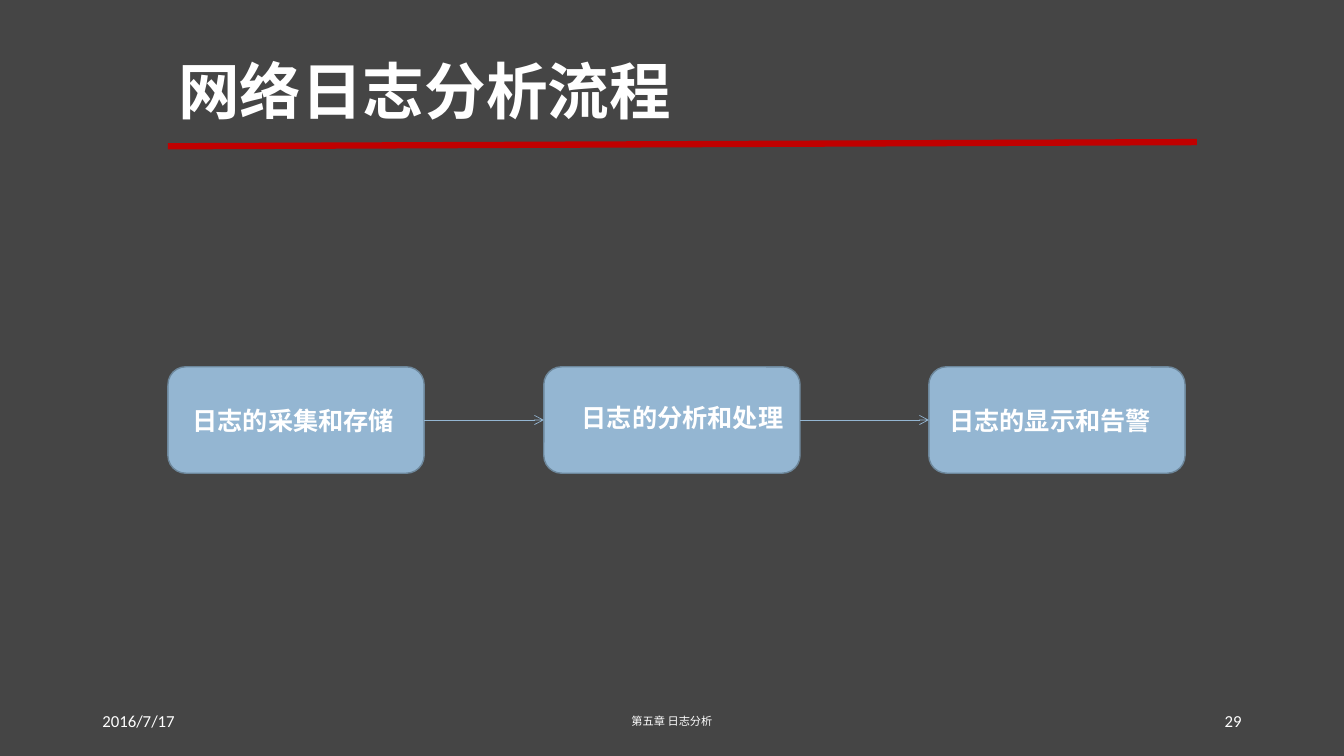
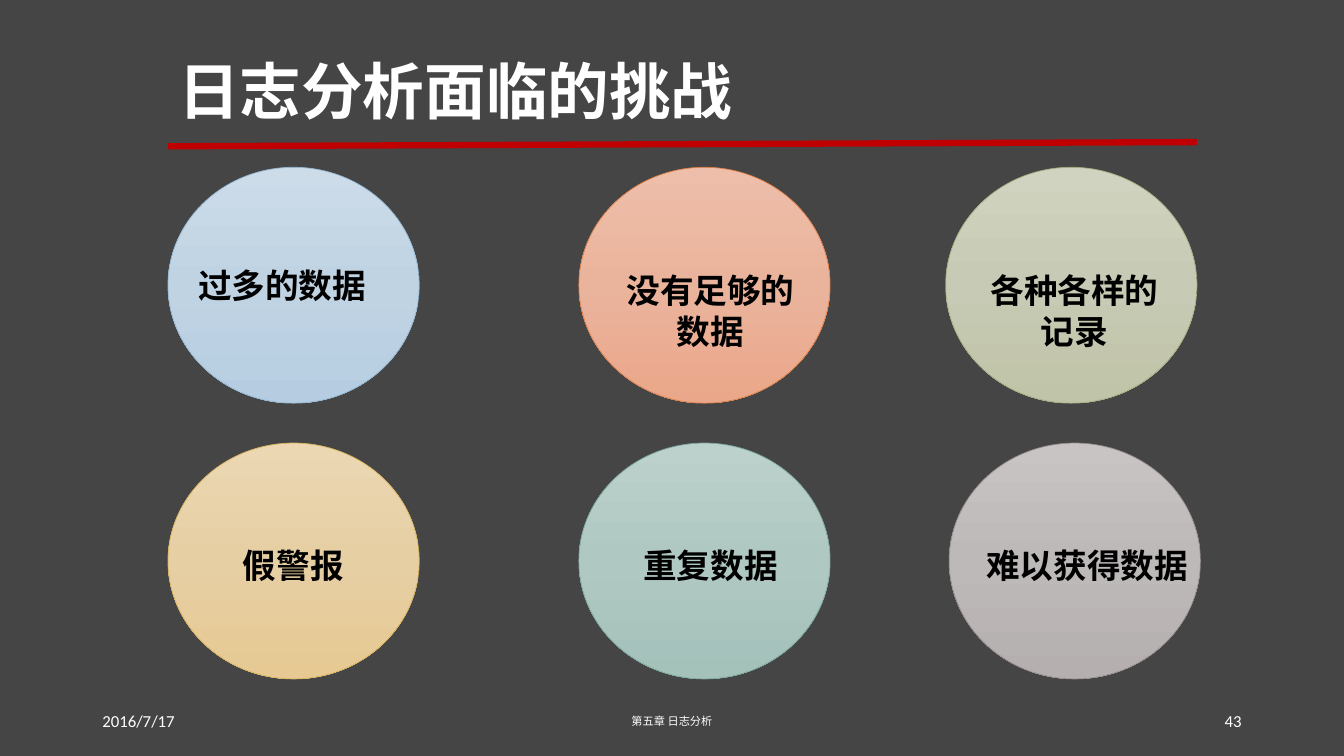
from copy import deepcopy
from dataclasses import dataclass
from itertools import pairwise

from lxml.etree import SubElement
from pptx import Presentation
from pptx.dml.color import RGBColor
from pptx.enum.shapes import MSO_CONNECTOR, MSO_SHAPE
from pptx.enum.text import MSO_ANCHOR, MSO_AUTO_SIZE, PP_ALIGN
from pptx.oxml.ns import qn
from pptx.presentation import Presentation as Deck
from pptx.shapes.autoshape import Shape
from pptx.shapes.connector import Connector
from pptx.slide import Slide
from pptx.text.text import TextFrame
from pptx.util import Pt

COLORS = {
    "background": "454545",
    "rule": "C00000",
    "light": "FFFFFF",
    "dark": "000000",
    "step": "94B6D2",
    "step_edge": "6D879B",
}
LATIN_FONT = "Calibri"
CHINESE_FONT = "Noto Sans CJK SC"
LEFT = 120


@dataclass(frozen=True)
class Area:
    left: float
    top: float
    width: float
    height: float

    def lengths(self) -> tuple[Pt, Pt, Pt, Pt]:
        return Pt(self.left), Pt(self.top), Pt(self.width), Pt(self.height)


@dataclass(frozen=True)
class TextStyle:
    size: float
    color: str = COLORS["light"]
    bold: bool = False
    font: str = LATIN_FONT
    align: PP_ALIGN = PP_ALIGN.LEFT
    anchor: MSO_ANCHOR = MSO_ANCHOR.TOP


@dataclass(frozen=True)
class Step:
    text: str
    left: float
    label: Area


@dataclass(frozen=True)
class Challenge:
    text: str
    left: float
    top: float
    label: Area
    gradient: tuple[str, str, str]
    edge: str
    align: PP_ALIGN = PP_ALIGN.CENTER


TITLE_AREA = Area(LEFT, 15, 735, 104.5)
TITLE_STYLE = TextStyle(44, bold=True, font=CHINESE_FONT, anchor=MSO_ANCHOR.MIDDLE)
DATE_STYLE = TextStyle(12, anchor=MSO_ANCHOR.MIDDLE)
CHAPTER_STYLE = TextStyle(8, font=CHINESE_FONT, align=PP_ALIGN.CENTER, anchor=MSO_ANCHOR.MIDDLE)
NUMBER_STYLE = TextStyle(12, align=PP_ALIGN.RIGHT, anchor=MSO_ANCHOR.MIDDLE)
STEP_STYLE = TextStyle(18, bold=True)

STEP_TOP, STEP_WIDTH, STEP_HEIGHT = 262, 183, 76
STEPS = (
    Step("日志的采集和存储", LEFT, Area(130.5, 286, 163, 29)),
    Step("日志的分析和处理", 388.5, Area(408.5, 284, 163, 50)),
    Step("日志的显示和告警", 663.5, Area(671, 286, 168, 29)),
)

CIRCLE_WIDTH, CIRCLE_HEIGHT = 179.5, 168.5
MIDDLE = 413.5
UPPER, LOWER = 119.5, 316.5
CHALLENGES = (
    Challenge("过多的数据", LEFT, UPPER, Area(134.5, 185.5, 150, 36),
              ("CCDCE9", "C0D3E3", "B6CDE1"), "94B6D2", PP_ALIGN.LEFT),
    Challenge("没有足够的数据", MIDDLE, UPPER, Area(436, 189.5, 143, 65),
              ("EEBEAA", "EAB39C", "EBA78A"), "DD8047"),
    Challenge("各种各样的记录", 675.5, UPPER, Area(689, 189.5, 157, 65),
              ("D0D3BF", "C7CAB4", "C0C4A8"), "A5AB81"),
    Challenge("假警报", LEFT, LOWER, Area(129, 386, 161, 36),
              ("EBD7B2", "E7CFA4", "E6C993"), "D8B25C"),
    Challenge("重复数据", MIDDLE, LOWER, Area(427, 386, 161, 36),
              ("BCD0CC", "B0C8C2", "A4C1BA"), "7BA79D"),
    Challenge("难以获得数据", 678, LOWER, Area(695, 386, 163, 36),
              ("C8C4C4", "BEB9B9", "B5AFAF"), "968C8C"),
)


def rgb(color: str) -> RGBColor:
    return RGBColor.from_string(color)


def write(frame: TextFrame, text: str, style: TextStyle) -> None:
    frame.text = text
    frame.word_wrap = True
    frame.auto_size = MSO_AUTO_SIZE.NONE
    frame.vertical_anchor = style.anchor
    para = frame.paragraphs[0]
    para.alignment = style.align
    para.font.size = Pt(style.size)
    para.font.bold = style.bold
    para.font.color.rgb = rgb(style.color)
    para.font.name = style.font
    defaults = para._p.pPr.find(qn("a:defRPr"))
    SubElement(defaults, qn("a:ea")).set("typeface", CHINESE_FONT)


def add_text(page: Slide, area: Area, text: str, style: TextStyle) -> None:
    write(page.shapes.add_textbox(*area.lengths()).text_frame, text, style)


def add_line(page: Slide, start: tuple[float, float], end: tuple[float, float],
             color: str, width: float) -> Connector:
    line = page.shapes.add_connector(
        MSO_CONNECTOR.STRAIGHT, *(Pt(length) for length in start + end))
    line.line.color.rgb = rgb(color)
    line.line.width = Pt(width)
    SubElement(line._element.spPr, qn("a:effectLst"))
    return line


def add_outlined(page: Slide, kind: MSO_SHAPE, area: Area, edge: str, width: float) -> Shape:
    shape = page.shapes.add_shape(kind, *area.lengths())
    shape.shadow.inherit = False
    shape.line.color.rgb = rgb(edge)
    shape.line.width = Pt(width)
    return shape


def add_page(deck: Deck, title: str, number: int) -> Slide:
    """Add a slide with the shared title, red rule and footers."""
    page = deck.slides.add_slide(deck.slide_layouts[5])
    add_line(page, (LEFT, 104.5), (855, 101.5), COLORS["rule"], 4.5)
    heading = page.shapes.title
    heading.left, heading.top, heading.width, heading.height = TITLE_AREA.lengths()
    write(heading.text_frame, title, TITLE_STYLE)
    heading.text_frame.paragraphs[0].line_spacing = 0.9
    add_text(page, Area(66, 500.5, 216, 28.5), "2016/7/17", DATE_STYLE)
    add_text(page, Area(318, 500.5, 324, 28.5), "第五章 日志分析", CHAPTER_STYLE)
    add_text(page, Area(678, 500.5, 216, 28.5), str(number), NUMBER_STYLE)
    return page


def add_step(page: Slide, step: Step) -> Shape:
    area = Area(step.left, STEP_TOP, STEP_WIDTH, STEP_HEIGHT)
    box = add_outlined(page, MSO_SHAPE.ROUNDED_RECTANGLE, area, COLORS["step_edge"], 1)
    box.fill.solid()
    box.fill.fore_color.rgb = rgb(COLORS["step"])
    add_text(page, step.label, step.text, STEP_STYLE)
    return box


def join(page: Slide, source: Shape, target: Shape) -> None:
    """Draw an arrow from the right side of source to the left side of target."""
    arrow = add_line(page, (0, 0), (0, 0), COLORS["step"], 0.5)
    arrow.begin_connect(source, 3)
    arrow.end_connect(target, 1)
    SubElement(arrow.line._get_or_add_ln(), qn("a:tailEnd")).set("type", "arrow")


def add_circle(page: Slide, challenge: Challenge) -> None:
    area = Area(challenge.left, challenge.top, CIRCLE_WIDTH, CIRCLE_HEIGHT)
    circle = add_outlined(page, MSO_SHAPE.OVAL, area, challenge.edge, 0.5)
    circle.fill.gradient()
    circle.fill.gradient_angle = 270
    stop_list = circle._element.spPr.find(qn("a:gradFill")).find(qn("a:gsLst"))
    stop_list.insert(1, deepcopy(stop_list[0]))
    for index, (stop, color) in enumerate(zip(circle.fill.gradient_stops, challenge.gradient)):
        stop.position = index / 2
        stop.color.rgb = rgb(color)


def add_process(deck: Deck) -> None:
    page = add_page(deck, "网络日志分析流程", 29)
    boxes = [add_step(page, step) for step in STEPS]
    for source, target in pairwise(boxes):
        join(page, source, target)


def add_challenges(deck: Deck) -> None:
    page = add_page(deck, "日志分析面临的挑战", 43)
    for challenge in CHALLENGES:
        add_circle(page, challenge)
        style = TextStyle(24, COLORS["dark"], bold=True, align=challenge.align)
        add_text(page, challenge.label, challenge.text, style)


def main() -> None:
    deck = Presentation()
    deck.slide_width, deck.slide_height = Pt(960), Pt(540)
    background = deck.slide_master.background.fill
    background.solid()
    background.fore_color.rgb = rgb(COLORS["background"])
    add_process(deck)
    add_challenges(deck)
    deck.save("out.pptx")


if __name__ == "__main__":
    main()
